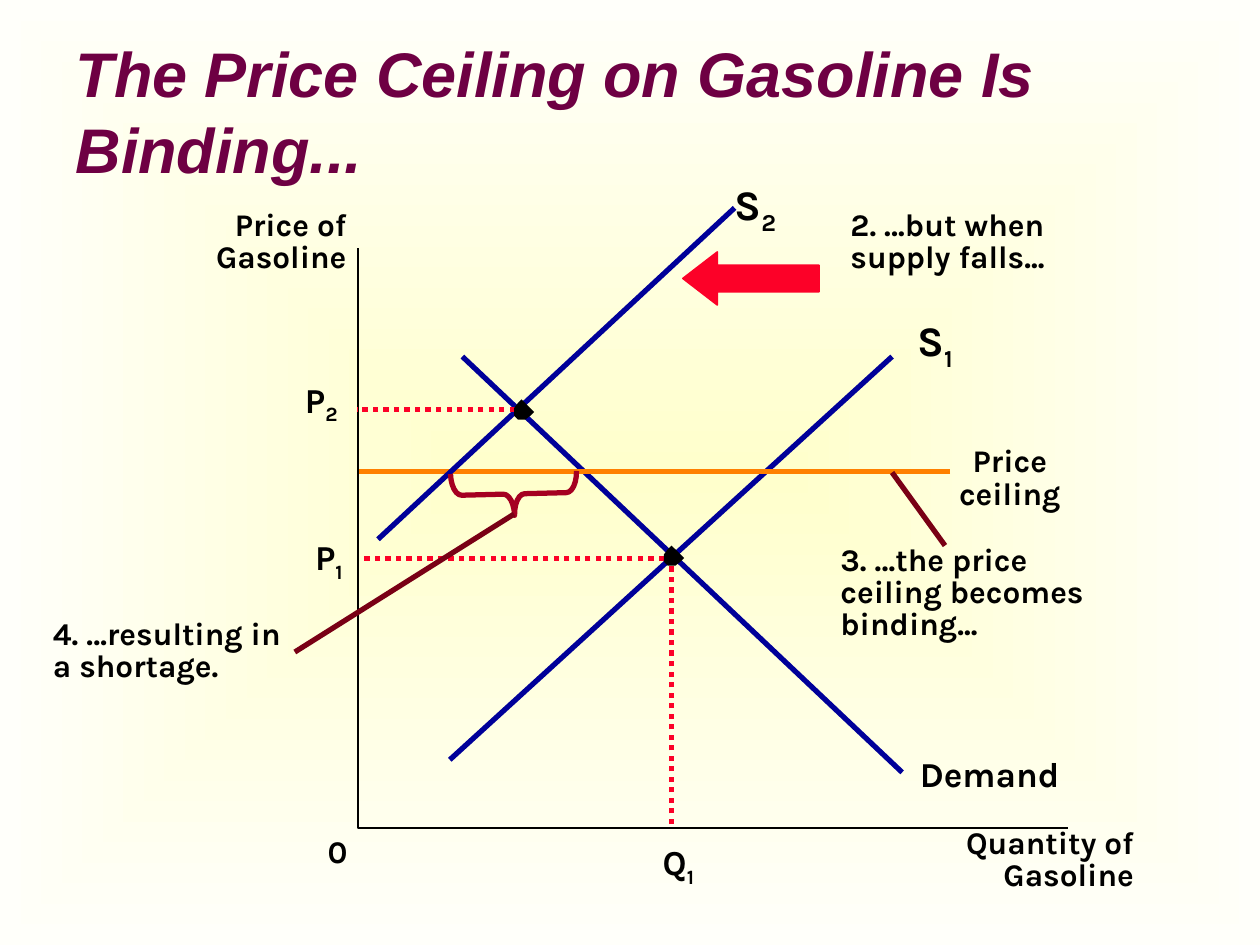
"""Build the slide on a binding price ceiling for gasoline."""
from dataclasses import dataclass
from lxml.etree import SubElement
from pptx import Presentation
from pptx.dml.color import RGBColor as RGB
from pptx.enum.dml import MSO_LINE as Dash
from pptx.enum.shapes import MSO_CONNECTOR as Conn, MSO_SHAPE as Kind
from pptx.enum.text import MSO_ANCHOR as Anchor, MSO_AUTO_SIZE as Fit, PP_ALIGN as Align
from pptx.oxml.ns import qn
from pptx.util import Inches, Pt


@dataclass(frozen=True)
class Theme:
    head: str = "Arial"
    body: str = "Karla"
    plum: RGB = RGB(0x6E, 0x00, 0x43)
    black: RGB = RGB(0x00, 0x00, 0x00)
    navy: RGB = RGB(0x00, 0x00, 0x99)
    red: RGB = RGB(0xFC, 0x01, 0x28)
    gold: RGB = RGB(0xFF, 0x80, 0x00)
    wine: RGB = RGB(0x79, 0x00, 0x15)
    ruby: RGB = RGB(0xA5, 0x00, 0x21)
    cream: RGB = RGB(0xFF, 0xFF, 0xCC)
    pale: RGB = RGB(0xFF, 0xFF, 0xFA)
    title: int = 36
    curve: int = 24
    label: int = 20
    note: int = 18
    thin: int = 1
    bold: int = 3


look = Theme()
deck = Presentation()
deck.slide_width, deck.slide_height = Inches(10), Inches(7.5)
slide = deck.slides.add_slide(deck.slide_layouts[5])
shapes = slide.shapes


def write(words, area, size, align=Align.LEFT, wrap=True, space=None):
    box = shapes.add_textbox(*map(Inches, area))
    frame = box.text_frame
    frame.margin_left = frame.margin_right = frame.margin_top = frame.margin_bottom = 0
    frame.word_wrap = wrap
    frame.auto_size = Fit.SHAPE_TO_FIT_TEXT
    for row, line in enumerate(words.split("\n")):
        para = frame.add_paragraph() if row else frame.paragraphs[0]
        para.alignment = align
        para.line_spacing = space
        for part, text in enumerate(line.split("_")):
            run = para.add_run()
            run.text = text
            font = run.font
            font.name, font.size, font.bold = look.body, Pt(size), True
            font.color.rgb = look.black
            if part:
                font._element.set("baseline", "-25000")
    return box


def draw(points, color, width=look.bold, dash=None):
    spots = [(Inches(x), Inches(y)) for x, y in points]
    if len(spots) == 2:
        shape = shapes.add_connector(Conn.STRAIGHT, *spots[0], *spots[1])
    else:
        pen = shapes.build_freeform(*spots[0])
        pen.add_line_segments(spots[1:], close=False)
        shape = pen.convert_to_shape()
        shape.fill.background()
    shape.line.color.rgb = color
    shape.line.width = Pt(width)
    if dash:
        shape.line.dash_style = dash
    SubElement(shape._element.spPr, qn("a:effectLst"))
    return shape


fill = slide.background.fill
fill.gradient()
for stop, color, place in zip(fill.gradient_stops, (look.cream, look.pale), (0, 1)):
    stop.color.rgb, stop.position = color, place
grad = slide.background._cSld.find(".//" + qn("a:gradFill"))
grad.remove(grad.find(qn("a:lin")))
glow = SubElement(grad, qn("a:path"), {"path": "rect"})
SubElement(glow, qn("a:fillToRect"), dict.fromkeys("ltrb", "50000"))

title = shapes.title
title.left, title.top, title.width, title.height = map(Inches, (0.5, 0.25, 8.58, 1.25))
frame = title.text_frame
frame.vertical_anchor, frame.auto_size, frame.word_wrap = Anchor.MIDDLE, Fit.NONE, True
para = frame.paragraphs[0]
para.alignment = Align.LEFT
run = para.add_run()
run.text = "The Price Ceiling on Gasoline Is Binding..."
font = run.font
font.name, font.size, font.bold, font.italic = look.head, Pt(look.title), True, True
font.color.rgb = look.plum

for words, area, align in (
    ("Quantity of\nGasoline", (7.57, 6.58, 1.43, 0.51), Align.RIGHT),
    ("Price of\nGasoline", (1.67, 1.67, 1.08, 0.51), Align.RIGHT),
    ("Price\nceiling", (7.6, 3.55, 0.83, 0.51), Align.CENTER),
):
    write(words, area, look.note, align, False, 0.85)

for words, area, size, wrap in (
    ("0", (2.6, 6.6, 0.14, 0.3), look.note, False),
    ("P_1", (2.5, 4.25, 0.42, 0.38), look.label, True),
    ("P_2", (2.42, 3, 0.42, 0.38), look.label, True),
    ("Q_1", (5.26, 6.67, 0.31, 0.38), look.label, False),
    ("Demand", (7.3, 5.97, 1.17, 0.33), look.label, False),
    ("S_1", (7.28, 2.5, 0.3, 0.46), look.curve, False),
):
    write(words, area, size, wrap=wrap)
shift = write("S_2", (5.83, 1.42, 0.5, 0.46), look.curve)

for words, area in (
    ("2. …but when supply falls...", (6.75, 1.67, 1.7, 0.51)),
    ("3. …the price ceiling becomes binding...", (6.67, 4.33, 2.08, 0.77)),
):
    write(words, area, look.note, space=0.85)
short = write("4. …resulting in a shortage.", (0.42, 4.92, 1.92, 0.51), look.note, space=0.85)

draw([(5.33, 6.54), (5.33, 4.43), (2.84, 4.43)], look.red, dash=Dash.ROUND_DOT)
draw([(3.67, 2.83), (7.16, 6.13)], look.navy)
draw([(2.84, 1.97), (2.84, 6.57), (8.48, 6.57)], look.black, look.thin)
draw([(3.57, 6.03), (7.08, 2.83)], look.navy)
draw([(7.54, 3.74), (2.85, 3.74)], look.gold)
draw([(3, 4.28), (5.83, 1.67)], look.navy).end_connect(shift, 1)
draw([(4.17, 3.25), (2.83, 3.25)], look.red, dash=Dash.ROUND_DOT)
draw([(7.5, 4.33), (7.08, 3.75)], look.wine)

rim = ((0.06, 0.16), (0.09, 0.16), (0.13, 0.13), (0.16, 0.1), (0.13, 0.07), (0.09, 0.03),
       (0.06, 0), (0.03, 0.03), (0, 0.07), (0, 0.13), (0.03, 0.16))
for left, top in ((5.27, 4.33), (4.08, 3.17)):
    spots = [(Inches(left + x), Inches(top + y)) for x, y in rim]
    pen = shapes.build_freeform(*spots[0])
    pen.add_line_segments(spots[1:], close=True)
    dot = pen.convert_to_shape()
    dot.shadow.inherit = False
    dot.fill.solid()
    dot.fill.fore_color.rgb = look.black
    dot.line.fill.background()

arrow = shapes.add_shape(Kind.LEFT_ARROW, *map(Inches, (5.42, 2, 1.08, 0.42)))
arrow.adjustments[0], arrow.adjustments[1] = 0.5, 0.65
arrow.shadow.inherit = False
arrow.fill.solid()
arrow.fill.fore_color.rgb = arrow.line.color.rgb = look.red
arrow.line.width = Pt(look.thin)

brace = shapes.add_shape(Kind.LEFT_BRACE, *map(Inches, (3.91, 3.42, 0.34, 1)))
brace.adjustments[0], brace.adjustments[1] = 0.25, 0.5
brace.rotation = 268.6
brace.shadow.inherit = False
brace.fill.background()
brace.line.color.rgb = look.ruby
brace.line.width = Pt(look.bold)
draw([(2.33, 5.17), (4.08, 4.08)], look.wine).begin_connect(short, 3)

deck.save("out.pptx")
